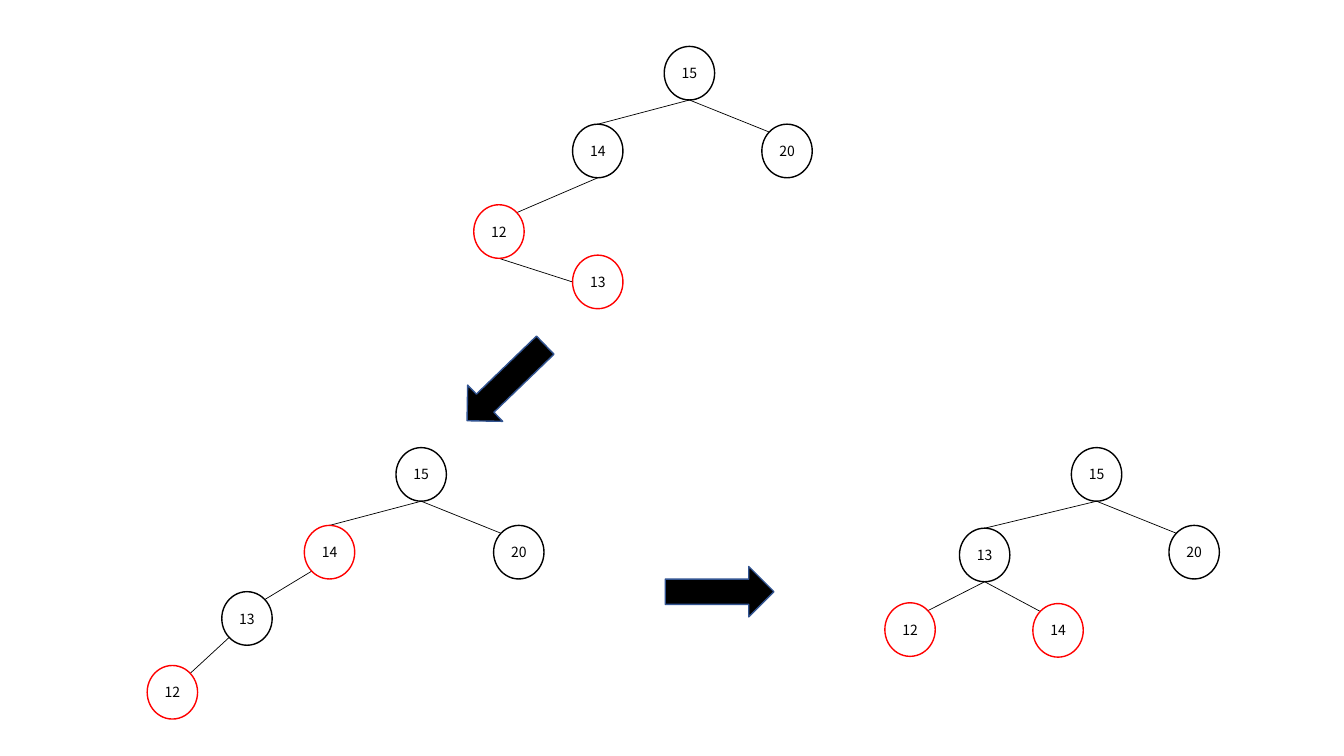
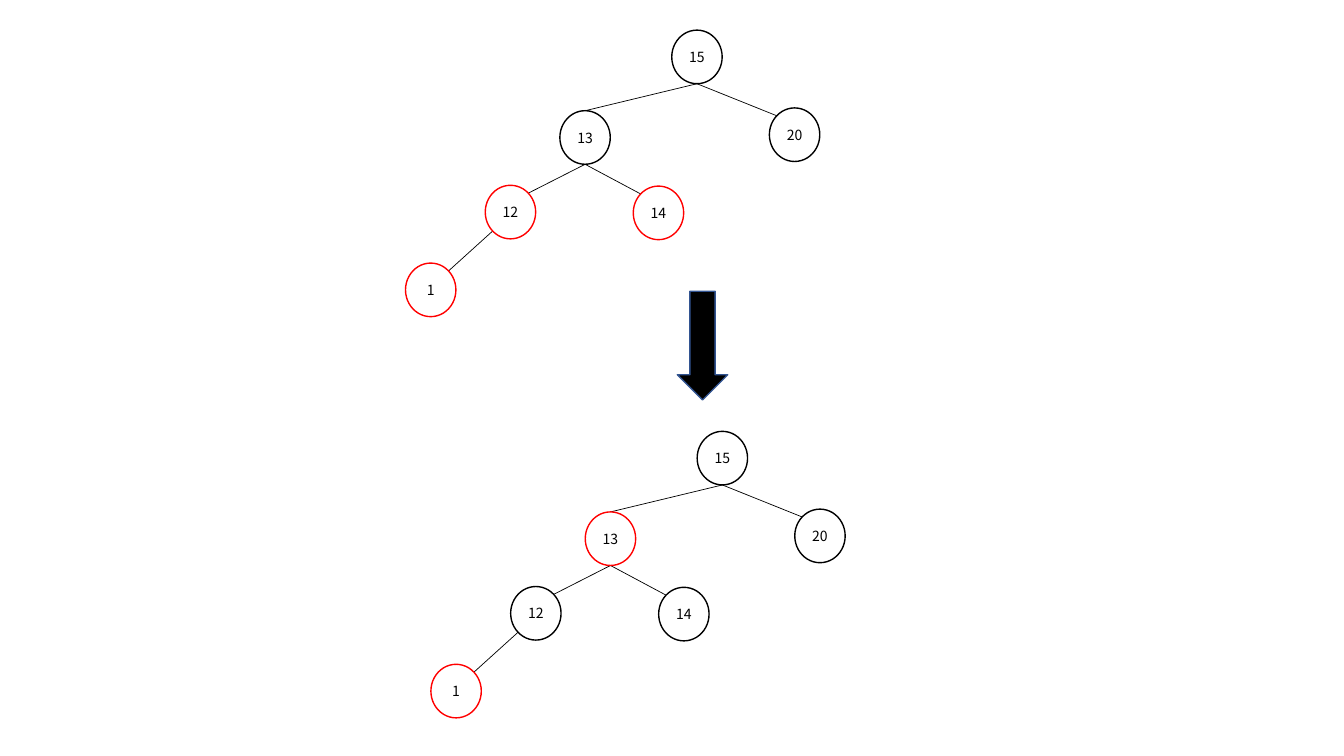
import math

import pptx
import pptx.dml.color
import pptx.enum.shapes
import pptx.enum.text
import pptx.oxml
import pptx.util

Cm, Pt = pptx.util.Cm, pptx.util.Pt
RGBColor = pptx.dml.color.RGBColor
MSO_SHAPE = pptx.enum.shapes.MSO_SHAPE

BLACK = RGBColor(0x00, 0x00, 0x00)
WHITE = RGBColor(0xFF, 0xFF, 0xFF)
RED = RGBColor(0xFF, 0x00, 0x00)
NAVY = RGBColor(0x32, 0x54, 0x91)
FONT = "Noto Sans CJK KR"
EMPTY_EFFECTS = '<a:effectLst xmlns:a="http://schemas.openxmlformats.org/drawingml/2006/main"/>'

# Sizes in cm
NODE_W, NODE_H = 1.27, 1.35
ARROW_W, ARROW_H = 1.27, 2.74

# Points on a node's rim, as fractions of its half width and half height
DIAG = math.sqrt(0.5)
TOP, BOTTOM, LEFT = (0, -1), (0, 1), (-1, 0)
TOP_LEFT, TOP_RIGHT, BOTTOM_LEFT = (-DIAG, -DIAG), (DIAG, -DIAG), (-DIAG, DIAG)

# Tree shapes: key -> (x, y) from the root's corner, in cm
# Edges: parent, rim point, child, rim point
ROOT_RIGHT = {15: (0, 0), 20: (2.46, 1.96)}
EDGE_RIGHT = (15, BOTTOM, 20, TOP_LEFT)

ZIGZAG = (
    {**ROOT_RIGHT, 14: (-2.31, 1.96), 12: (-4.8, 3.99), 13: (-2.31, 5.26)},
    [EDGE_RIGHT, (15, BOTTOM, 14, TOP), (14, BOTTOM, 12, TOP_RIGHT), (12, BOTTOM, 13, LEFT)],
)
CHAIN = (
    {**ROOT_RIGHT, 14: (-2.31, 1.96), 13: (-4.39, 3.63), 12: (-6.27, 5.49)},
    [EDGE_RIGHT, (15, BOTTOM, 14, TOP), (14, BOTTOM_LEFT, 13, TOP_RIGHT),
     (13, BOTTOM_LEFT, 12, TOP_RIGHT)],
)
BALANCED = (
    {**ROOT_RIGHT, 13: (-2.82, 2.03), 12: (-4.7, 3.91), 14: (-0.97, 3.93)},
    [EDGE_RIGHT, (15, BOTTOM, 13, TOP), (13, BOTTOM, 12, TOP_RIGHT), (13, BOTTOM, 14, TOP_LEFT)],
)
WITH_ONE = (
    {**BALANCED[0], 1: (-6.71, 5.87)},
    BALANCED[1] + [(12, BOTTOM_LEFT, 1, TOP_RIGHT)],
)


def add_filled(s, shape, x, y, w, h, fill, line):
    sp = s.shapes.add_shape(shape, Cm(x), Cm(y), Cm(w), Cm(h))
    sp.shadow.inherit = False
    sp.fill.solid()
    sp.fill.fore_color.rgb = fill
    sp.line.color.rgb = line
    sp.line.width = Pt(1)
    return sp


def add_node(s, key, x, y, color):
    sp = add_filled(s, MSO_SHAPE.OVAL, x, y, NODE_W, NODE_H, WHITE, color)
    tf = sp.text_frame
    tf.margin_left = tf.margin_right = tf.margin_top = tf.margin_bottom = 0
    tf.vertical_anchor = pptx.enum.text.MSO_ANCHOR.MIDDLE
    p = tf.paragraphs[0]
    p.text = str(key)
    p.alignment = pptx.enum.text.PP_ALIGN.CENTER
    p.font.name = FONT
    p.font.size = Pt(10)
    p.font.color.rgb = BLACK


def add_edge(s, start, end):
    line = s.shapes.add_connector(
        pptx.enum.shapes.MSO_CONNECTOR.STRAIGHT, *(Cm(v) for v in (*start, *end)))
    line.line.color.rgb = BLACK
    line.line.width = Pt(0.5)
    line._element.spPr.append(pptx.oxml.parse_xml(EMPTY_EFFECTS))


def add_tree(s, tree, x, y, red):
    """Draw a tree whose root has its top left corner at (x, y)."""
    nodes, edges = tree

    def rim(key, point):
        dx, dy = nodes[key]
        return (x + dx + NODE_W / 2 * (1 + point[0]),
                y + dy + NODE_H / 2 * (1 + point[1]))

    for parent, exit_point, child, entry_point in edges:
        add_edge(s, rim(parent, exit_point), rim(child, entry_point))
    for key, (dx, dy) in nodes.items():
        add_node(s, key, x + dx, y + dy, RED if key in red else BLACK)


def add_arrow(s, x, y, rotation=0):
    sp = add_filled(s, MSO_SHAPE.DOWN_ARROW, x, y, ARROW_W, ARROW_H, BLACK, NAVY)
    sp.rotation = rotation


def rotation_slide(prs):
    s = prs.slides.add_slide(prs.slide_layouts[6])
    add_tree(s, ZIGZAG, 16.74, 1.17, {12, 13})
    add_tree(s, CHAIN, 9.98, 11.28, {12, 14})
    add_tree(s, BALANCED, 27, 11.28, {12, 14})
    add_arrow(s, 12.12, 8.28, 46)
    add_arrow(s, 17.5, 13.54, 270)


def recolor_slide(prs):
    s = prs.slides.add_slide(prs.slide_layouts[6])
    add_tree(s, WITH_ONE, 16.93, 0.76, {1, 12, 14})
    add_tree(s, WITH_ONE, 17.57, 10.87, {1, 13})
    add_arrow(s, 17.07, 7.34)


def main():
    prs = pptx.Presentation()
    prs.slide_width, prs.slide_height = Cm(33.87), Cm(19.05)
    rotation_slide(prs)
    recolor_slide(prs)
    prs.save("out.pptx")


if __name__ == "__main__":
    main()
